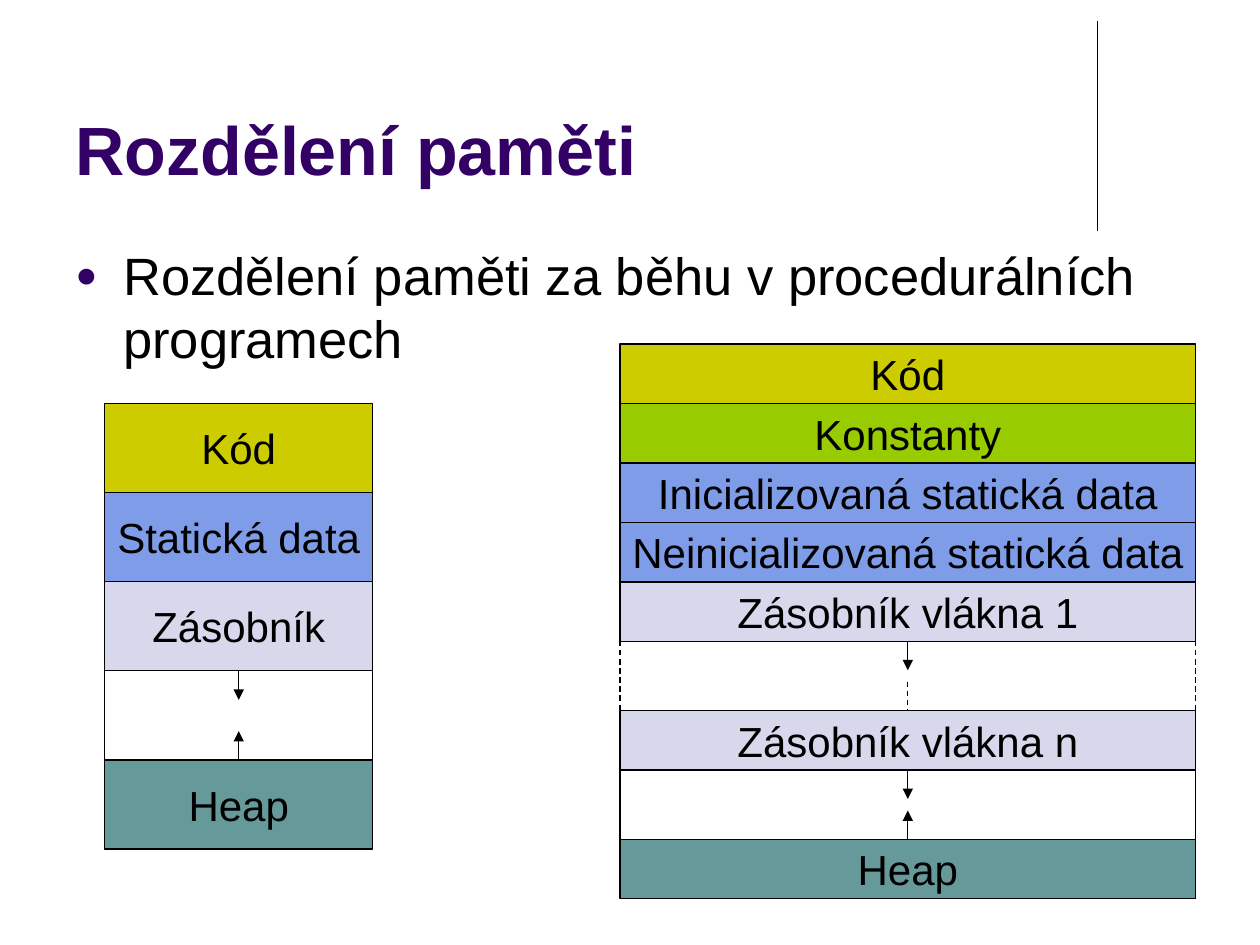
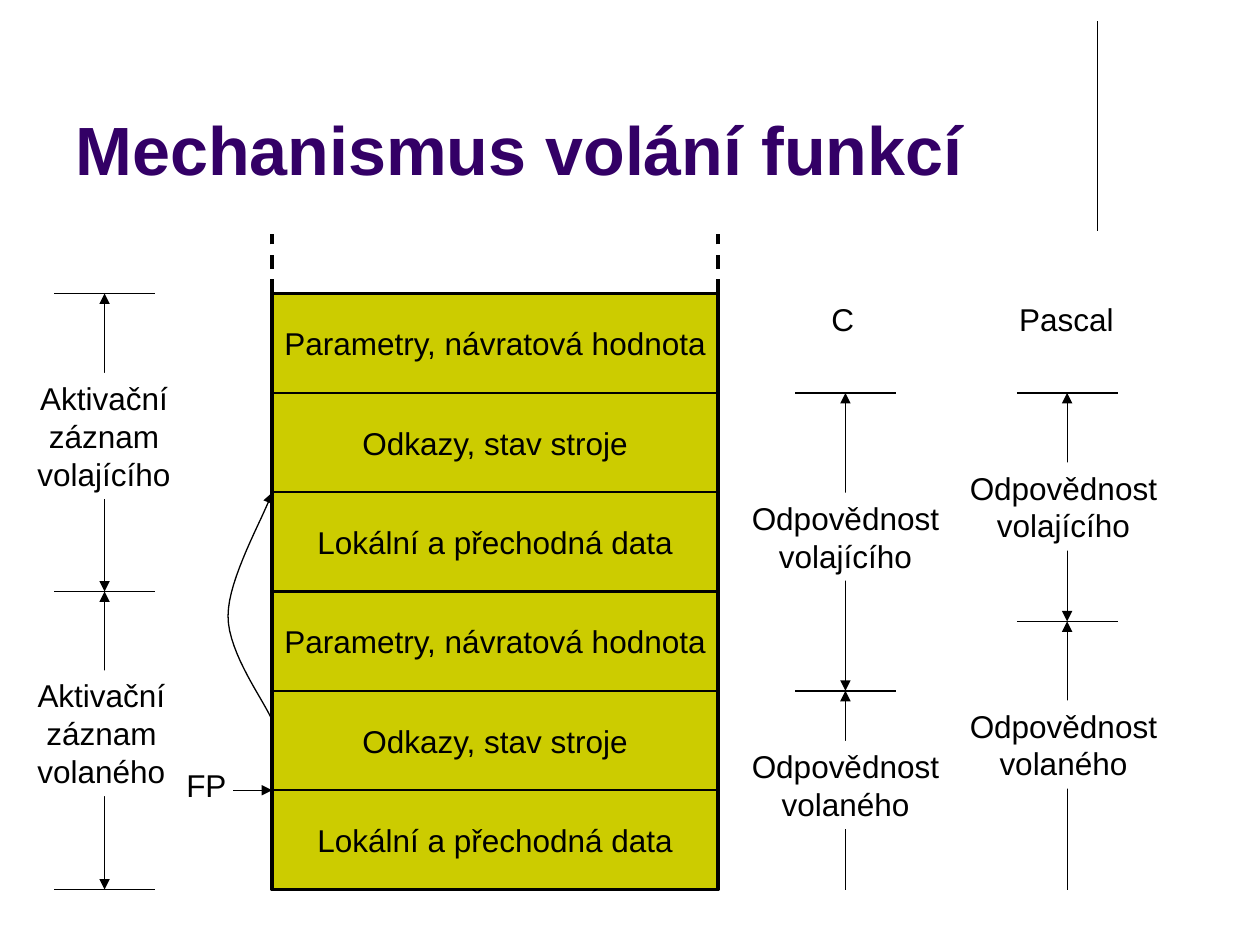
from lxml import etree
from pptx import Presentation
from pptx.dml.color import RGBColor
from pptx.enum.dml import MSO_LINE
from pptx.enum.shapes import MSO_CONNECTOR, MSO_SHAPE
from pptx.enum.text import MSO_ANCHOR, PP_ALIGN
from pptx.oxml.ns import qn
from pptx.util import Inches, Pt

FONT = "Arial"
BLACK = RGBColor(0x00, 0x00, 0x00)
WHITE = RGBColor(0xFF, 0xFF, 0xFF)
PURPLE = RGBColor(0x33, 0x00, 0x66)
OLIVE = RGBColor(0xCC, 0xCC, 0x00)
GREEN = RGBColor(0x99, 0xCC, 0x00)
BLUE = RGBColor(0x7E, 0x9C, 0xE8)
LAVENDER = RGBColor(0xD8, 0xD8, 0xEC)
TEAL = RGBColor(0x66, 0x99, 0x99)
THIN, THICK = 0.75, 2

# Slide 1: memory layouts; FREE is unused space, MORE stands for further threads
FREE, MORE = "free", "more"
MEMORY_TITLE = "Rozdělení paměti"
MEMORY_BULLET = "Rozdělení paměti za běhu v procedurálních programech"
MEMORY_STACKS = [
    dict(left=0.83, top=3.2, width=2.13, row=0.708, gap=0.708, rows=[
        ("Kód", OLIVE), ("Statická data", BLUE), ("Zásobník", LAVENDER),
        (FREE, None), ("Heap", TEAL)]),
    dict(left=4.92, top=2.73, width=4.57, row=0.472, gap=0.55, rows=[
        ("Kód", OLIVE), ("Konstanty", GREEN),
        ("Inicializovaná statická data", BLUE),
        ("Neinicializovaná statická data", BLUE),
        ("Zásobník vlákna 1", LAVENDER), (MORE, None),
        ("Zásobník vlákna n", LAVENDER), (FREE, None), ("Heap", TEAL)]),
]
ARROW_LENGTH = 0.23

# Slide 2: two activation records and who is responsible for which part
CALL_TITLE = "Mechanismus volání funkcí"
RECORD_ROWS = ["Parametry, návratová hodnota", "Odkazy, stav stroje",
               "Lokální a přechodná data"]
RECORD_COUNT = 2
FRAME_LEFT, FRAME_TOP, FRAME_WIDTH, FRAME_BOTTOM = 2.16, 2.33, 3.54, 7.06
FRAME_ROW = (FRAME_BOTTOM - FRAME_TOP) / (RECORD_COUNT * len(RECORD_ROWS))
TICK_HALF = 0.4
# Levels count frame rows from the top; a label is (text, left, top, width)
SPAN_COLUMNS = [
    dict(x=0.83, levels=[0, 3, 6], closed=True, labels=[
        ("Aktivační\nzáznam\nvolajícího", 0.2, 2.96, 1.25),
        ("Aktivační\nzáznam\nvolaného", 0.2, 5.32, 1.21)]),
    dict(x=6.71, levels=[1, 4, 6], closed=False, labels=[
        ("Odpovědnost\nvolajícího", 5.87, 3.91, 1.68),
        ("Odpovědnost\nvolaného", 5.87, 5.88, 1.68)]),
    dict(x=8.47, levels=[1, 3.3, 6], closed=False, labels=[
        ("Odpovědnost\nvolajícího", 7.6, 3.67, 1.68),
        ("Odpovědnost\nvolaného", 7.6, 5.56, 1.68)]),
]
CAPTIONS = [("FP", 1.38, 6.03, 0.52), ("C", 6.5, 2.33, 0.38),
            ("Pascal", 7.99, 2.33, 0.95)]
LINK_CURVES = [
    [(2.16, 5.72), (2.11, 5.58), (1.81, 5.19), (1.81, 4.89)],
    [(1.81, 4.89), (1.81, 4.59), (2.09, 4.11), (2.16, 3.91)],
]
CURVE_STEPS = 16


def add_arrowheads(line, head=False, tail=False):
    for wanted, tag in ((head, "a:headEnd"), (tail, "a:tailEnd")):
        if wanted:
            etree.SubElement(line._get_or_add_ln(), qn(tag), type="triangle")


def add_line(slide, start, end, weight=THIN, dashed=False, head=False, tail=False):
    connector = slide.shapes.add_connector(
        MSO_CONNECTOR.STRAIGHT, *(Inches(value) for value in (*start, *end)))
    connector.line.color.rgb = BLACK
    connector.line.width = Pt(weight)
    if dashed:
        connector.line.dash_style = MSO_LINE.DASH
    add_arrowheads(connector.line, head, tail)
    etree.SubElement(connector._element.spPr, qn("a:effectLst"))


def write(shape, text, size, color=BLACK, bold=False, wrap=False,
          anchor=MSO_ANCHOR.TOP, align=PP_ALIGN.LEFT):
    frame = shape.text_frame
    frame.word_wrap = wrap
    frame.vertical_anchor = anchor
    paragraph = frame.paragraphs[0]
    paragraph.alignment = align
    for index, text_line in enumerate(text.split("\n")):
        if index:
            paragraph.add_line_break()
        run = paragraph.add_run()
        run.text = text_line
        run.font.name = FONT
        run.font.size = Pt(size)
        run.font.bold = bold
        run.font.color.rgb = color
    return paragraph


def add_text(slide, box, text, size, **style):
    textbox = slide.shapes.add_textbox(*(Inches(value) for value in box))
    return write(textbox, text, size, **style)


def add_box(slide, box, fill=None, weight=THIN):
    shape = slide.shapes.add_shape(
        MSO_SHAPE.RECTANGLE, *(Inches(value) for value in box))
    shape.shadow.inherit = False
    if fill is None:
        shape.fill.background()
    else:
        shape.fill.solid()
        shape.fill.fore_color.rgb = fill
    if weight:
        shape.line.color.rgb = BLACK
        shape.line.width = Pt(weight)
    else:
        shape.line.fill.background()
    return shape


def add_cell(slide, box, text, fill, size):
    write(add_box(slide, box, fill), text, size,
          anchor=MSO_ANCHOR.MIDDLE, align=PP_ALIGN.CENTER)


def add_titled_slide(presentation, title):
    slide = presentation.slides.add_slide(presentation.slide_layouts[6])
    add_line(slide, (8.71, 0.17), (8.71, 1.83))
    add_text(slide, (0.5, 0.13, 8.25, 1.42), title, 39, color=PURPLE,
             bold=True, wrap=True, anchor=MSO_ANCHOR.BOTTOM)
    return slide


def add_bullet(paragraph):
    properties = paragraph._p.get_or_add_pPr()
    properties.set("marL", str(Inches(0.38)))
    properties.set("indent", str(-Inches(0.38)))
    color = etree.SubElement(properties, qn("a:buClr"))
    etree.SubElement(color, qn("a:srgbClr"), val=str(PURPLE))
    etree.SubElement(properties, qn("a:buSzPct"), val="70000")
    etree.SubElement(properties, qn("a:buFont"), typeface=FONT)
    etree.SubElement(properties, qn("a:buChar"), char="●")


def add_memory_stack(slide, left, top, width, row, gap, rows):
    center, right = left + width / 2, left + width
    for text, fill in rows:
        height = gap if text in (FREE, MORE) else row
        bottom = top + height
        box = (left, top, width, height)
        if fill is not None:
            add_cell(slide, box, text, fill, 24)
        else:
            if text == FREE:
                add_box(slide, box)
                add_line(slide, (center, bottom), (center, bottom - ARROW_LENGTH), tail=True)
            else:
                add_line(slide, (center, bottom - ARROW_LENGTH), (center, bottom), dashed=True)
                for x in (left, right):
                    add_line(slide, (x, top), (x, bottom), dashed=True)
            add_line(slide, (center, top), (center, top + ARROW_LENGTH), tail=True)
        top = bottom


def level_y(level):
    return FRAME_TOP + level * FRAME_ROW


def add_activation_records(slide):
    size = len(RECORD_ROWS)
    for record in range(RECORD_COUNT):
        first = record * size
        for index, text in enumerate(RECORD_ROWS, first):
            add_cell(slide, (FRAME_LEFT, level_y(index), FRAME_WIDTH, FRAME_ROW),
                     text, OLIVE, 18)
        add_box(slide, (FRAME_LEFT, level_y(first), FRAME_WIDTH, size * FRAME_ROW),
                weight=THICK)
    for x in (FRAME_LEFT, FRAME_LEFT + FRAME_WIDTH):
        add_line(slide, (x, FRAME_TOP), (x, 1.86), weight=THICK, dashed=True)


def add_span_column(slide, x, levels, closed, labels):
    for level in levels if closed else levels[:-1]:
        y = level_y(level)
        add_line(slide, (x - TICK_HALF, y), (x + TICK_HALF, y))
    for start, end, (text, left, top, width) in zip(levels, levels[1:], labels):
        add_line(slide, (x, level_y(start)), (x, level_y(end)), head=True,
                 tail=closed or end != levels[-1])
        height = 0.1 + 0.3 * len(text.split("\n"))
        label = add_box(slide, (left, top, width, height), WHITE, weight=0)
        write(label, text, 18, align=PP_ALIGN.CENTER)


def bezier_point(points, t):
    weights = ((1 - t) ** 3, 3 * t * (1 - t) ** 2, 3 * t ** 2 * (1 - t), t ** 3)
    return tuple(Inches(sum(weight * value for weight, value in zip(weights, axis)))
                 for axis in zip(*points))


def add_link_curve(slide):
    points = [bezier_point(curve, step / CURVE_STEPS)
              for curve in LINK_CURVES for step in range(1, CURVE_STEPS + 1)]
    builder = slide.shapes.build_freeform(*bezier_point(LINK_CURVES[0], 0))
    builder.add_line_segments(points, close=False)
    curve = builder.convert_to_shape()
    curve.shadow.inherit = False
    curve.fill.background()
    curve.line.color.rgb = BLACK
    curve.line.width = Pt(THIN)
    add_arrowheads(curve.line, tail=True)


def main():
    presentation = Presentation()
    presentation.slide_width, presentation.slide_height = Inches(10), Inches(7.5)

    # Memory layout
    slide = add_titled_slide(presentation, MEMORY_TITLE)
    add_bullet(add_text(slide, (0.5, 1.88, 9, 1.16), MEMORY_BULLET, 30, wrap=True))
    for stack in MEMORY_STACKS:
        add_memory_stack(slide, **stack)

    # Function call mechanism
    slide = add_titled_slide(presentation, CALL_TITLE)
    add_activation_records(slide)
    for column in SPAN_COLUMNS:
        add_span_column(slide, **column)
    for text, left, top, width in CAPTIONS:
        add_text(slide, (left, top, width, 0.4), text, 18)
    add_line(slide, (1.85, level_y(5)), (FRAME_LEFT, level_y(5)), tail=True)
    add_link_curve(slide)

    presentation.save("out.pptx")


if __name__ == "__main__":
    main()
